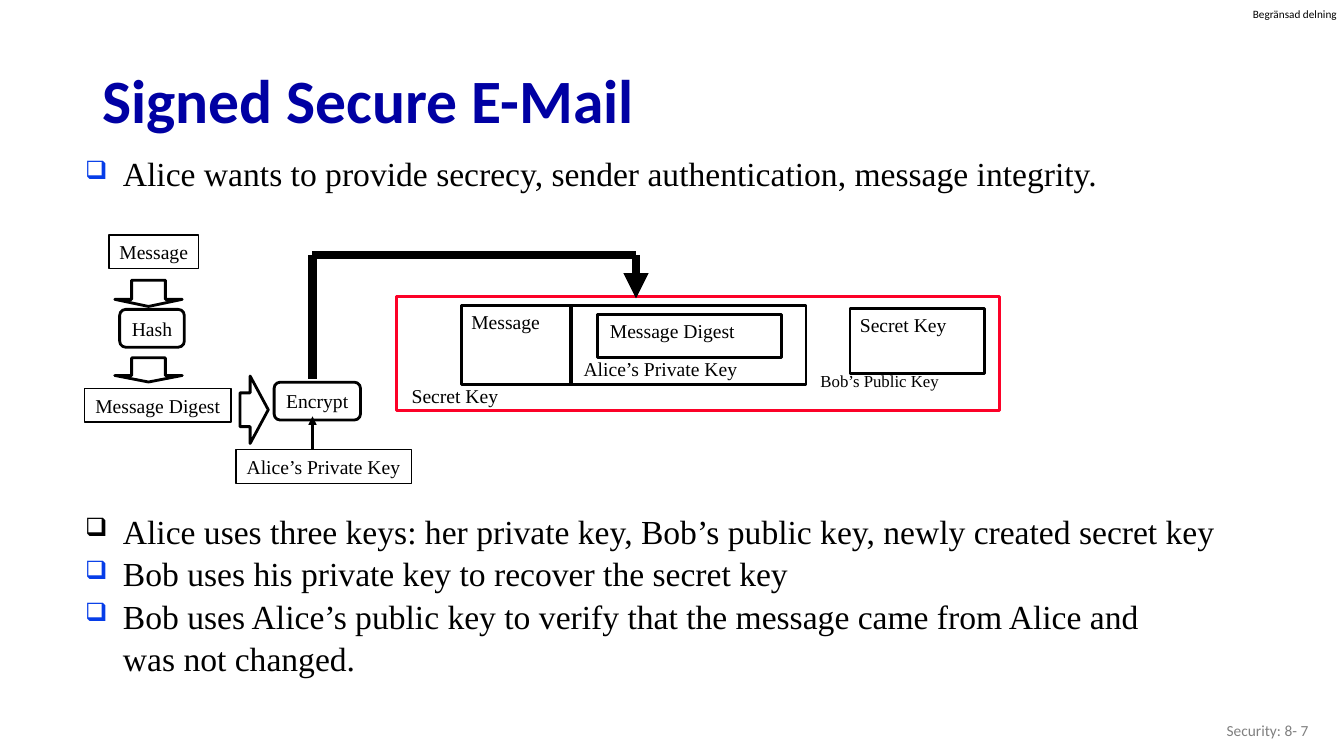
from dataclasses import dataclass

from lxml.etree import SubElement
from pptx import Presentation
from pptx.dml.color import RGBColor
from pptx.enum.shapes import MSO_CONNECTOR, MSO_SHAPE
from pptx.enum.text import MSO_ANCHOR, PP_ALIGN
from pptx.oxml.ns import qn
from pptx.util import Pt


@dataclass(frozen=True)
class Theme:
    title: str = "0000A3"
    ink: str = "000000"
    bullet: str = "063DE8"
    envelope: str = "FC0128"
    muted: str = "808080"
    sans: str = "Calibri"
    serif: str = "Times New Roman"
    title_size: float = 44
    body_size: float = 24
    label_size: float = 14
    note_size: float = 12
    footer_size: float = 11
    mark_size: float = 8


THEME = Theme()


@dataclass(frozen=True)
class Box:
    x: float
    y: float
    w: float
    h: float


@dataclass(frozen=True)
class Style:
    size: float = THEME.label_size
    color: str = THEME.ink
    font: str = THEME.serif
    bold: bool = False
    align: PP_ALIGN = PP_ALIGN.LEFT
    anchor: MSO_ANCHOR = MSO_ANCHOR.TOP
    inset: tuple[float, float] = (0, 0)
    wrap: bool = False


@dataclass(frozen=True)
class Node:
    box: Box
    text: str = ""
    style: Style = Style(align=PP_ALIGN.CENTER, anchor=MSO_ANCHOR.MIDDLE)
    line: float = 2
    color: str = THEME.ink
    shape: MSO_SHAPE = MSO_SHAPE.RECTANGLE
    adjust: tuple[float, ...] = ()


@dataclass(frozen=True)
class Link:
    x1: float
    y1: float
    x2: float
    y2: float
    width: float
    arrow: bool = False


@dataclass(frozen=True)
class Bullet:
    text: str
    color: str = THEME.bullet
    right: float = 0


def write(sp, lines: list[str], style: Style) -> None:
    tf = sp.text_frame
    tf.word_wrap = style.wrap
    tf.vertical_anchor = style.anchor
    tf.margin_left = tf.margin_right = Pt(style.inset[0])
    tf.margin_top = tf.margin_bottom = Pt(style.inset[1])
    for i, line in enumerate(lines):
        p = tf.add_paragraph() if i else tf.paragraphs[0]
        p.text = line
        p.alignment = style.align
        for r in p.runs:
            r.font.size = Pt(style.size)
            r.font.name = style.font
            r.font.bold = style.bold
            r.font.color.rgb = RGBColor.from_string(style.color)


def add_text(s, box: Box, lines: list[str], style: Style):
    sp = s.shapes.add_textbox(Pt(box.x), Pt(box.y), Pt(box.w), Pt(box.h))
    write(sp, lines, style)
    return sp


def add_bullets(s, box: Box, bullets: list[Bullet], spacing: float) -> None:
    sp = add_text(s, box, [b.text for b in bullets], Style(THEME.body_size, wrap=True))
    for p, b in zip(sp.text_frame.paragraphs, bullets):
        p.line_spacing = spacing
        pPr = p._p.get_or_add_pPr()
        pPr.set("marL", str(Pt(28)))
        pPr.set("marR", str(Pt(b.right)))
        pPr.set("indent", str(Pt(-27)))
        clr = SubElement(pPr, qn("a:buClr"))
        SubElement(clr, qn("a:srgbClr"), val=b.color)
        SubElement(pPr, qn("a:buSzPct"), val="75000")
        SubElement(pPr, qn("a:buChar"), char="❑")


def add_node(s, node: Node) -> None:
    b = node.box
    sp = s.shapes.add_shape(node.shape, Pt(b.x), Pt(b.y), Pt(b.w), Pt(b.h))
    sp.shadow.inherit = False
    sp.fill.background()
    sp.line.color.rgb = RGBColor.from_string(node.color)
    sp.line.width = Pt(node.line)
    for i, value in enumerate(node.adjust):
        sp.adjustments[i] = value
    if node.text:
        write(sp, [node.text], node.style)


def add_link(s, link: Link) -> None:
    cx = s.shapes.add_connector(MSO_CONNECTOR.STRAIGHT, Pt(link.x1), Pt(link.y1),
                                Pt(link.x2), Pt(link.y2))
    cx.line.color.rgb = RGBColor.from_string(THEME.ink)
    cx.line.width = Pt(link.width)
    spPr = cx._element.spPr
    if link.arrow:
        SubElement(spPr.find(qn("a:ln")), qn("a:tailEnd"), type="triangle")
    SubElement(spPr, qn("a:effectLst"))


TOP = Style(inset=(7, 3.5))
ROUND = MSO_SHAPE.ROUNDED_RECTANGLE
DOWN = MSO_SHAPE.DOWN_ARROW

NODES = [
    # Hashing and signing steps
    Node(Box(77.8, 167.8, 64, 24.2), "Message", line=1),
    Node(Box(82, 200.2, 48.2, 18.7), shape=DOWN, adjust=(0.5, 0.27)),
    Node(Box(85.5, 221, 46.2, 27), "Hash", shape=ROUND, adjust=(0.16,)),
    Node(Box(82, 255.6, 48.2, 17.3), shape=DOWN, adjust=(0.5, 0.27)),
    Node(Box(60.3, 277.3, 104.8, 24.2), "Message Digest", line=1),
    Node(Box(171.4, 268.6, 20.2, 48.2), shape=MSO_SHAPE.RIGHT_ARROW, adjust=(0.5, 0.64)),
    Node(Box(195.8, 273, 61.7, 27), "Encrypt", shape=ROUND, adjust=(0.16,)),
    Node(Box(168.5, 321, 125.3, 24.6), "Alice’s Private Key", line=1),
    # Envelope locked with the secret key
    Node(Box(283.2, 211.7, 430.6, 81.4), "Secret Key",
         Style(anchor=MSO_ANCHOR.BOTTOM, inset=(10.8, 2)), color=THEME.envelope),
    Node(Box(329.6, 218.2, 79, 56.2), "Message", TOP),
    Node(Box(407.8, 218.2, 168, 56.2), "Alice’s Private Key",
         Style(anchor=MSO_ANCHOR.BOTTOM, inset=(9, 2.5))),
    Node(Box(427, 224.6, 131, 31), "Message Digest", Style(inset=(8.6, 3.5))),
    Node(Box(607.2, 220.2, 96, 46.8), "Secret Key", TOP),
]

LINKS = [
    Link(223.2, 321, 223.2, 297.4, 2, True),
    Link(223.2, 270.7, 223.2, 182.2, 6),
    Link(223.2, 182.2, 454.3, 182.2, 6),
    Link(454.3, 182.2, 454.3, 213.1, 6, True),
]

INTRO = [Bullet("Alice wants to provide secrecy, sender authentication, message integrity.")]
NOTES = [
    Bullet("Alice uses three keys: her private key, Bob’s public key, newly created secret key",
           THEME.ink),
    Bullet("Bob uses his private key to recover the secret key"),
    Bullet("Bob uses Alice’s public key to verify that the message came from Alice and "
           "was not changed.", right=45),
]


def main() -> None:
    prs = Presentation()
    prs.slide_width, prs.slide_height = Pt(960), Pt(540)
    s = prs.slides.add_slide(prs.slide_layouts[6])

    # Title, marking and footer
    add_text(s, Box(894.9, 5, 62, 9.5), ["Begränsad delning"],
             Style(THEME.mark_size, font=THEME.sans))
    add_text(s, Box(66.2, 35.3, 828, 70.6), ["Signed Secure E-Mail"],
             Style(THEME.title_size, THEME.title, THEME.sans, True,
                   anchor=MSO_ANCHOR.MIDDLE, inset=(7.2, 3.6), wrap=True))
    add_text(s, Box(725.8, 507.6, 216, 28.8), ["Security: 8- 7"],
             Style(THEME.footer_size, THEME.muted, THEME.sans, align=PP_ALIGN.RIGHT,
                   anchor=MSO_ANCHOR.MIDDLE, inset=(7.2, 3.6), wrap=True))

    # Bullet text
    add_bullets(s, Box(59.8, 109.5, 737, 30), INTRO, 1)
    add_bullets(s, Box(59.8, 363.5, 811, 117), NOTES, 1.05)

    # Diagram
    for node in NODES:
        add_node(s, node)
    for link in LINKS:
        add_link(s, link)
    add_text(s, Box(586.1, 265, 86, 15), ["Bob’s Public Key"], Style(THEME.note_size))

    prs.save("out.pptx")


if __name__ == "__main__":
    main()
